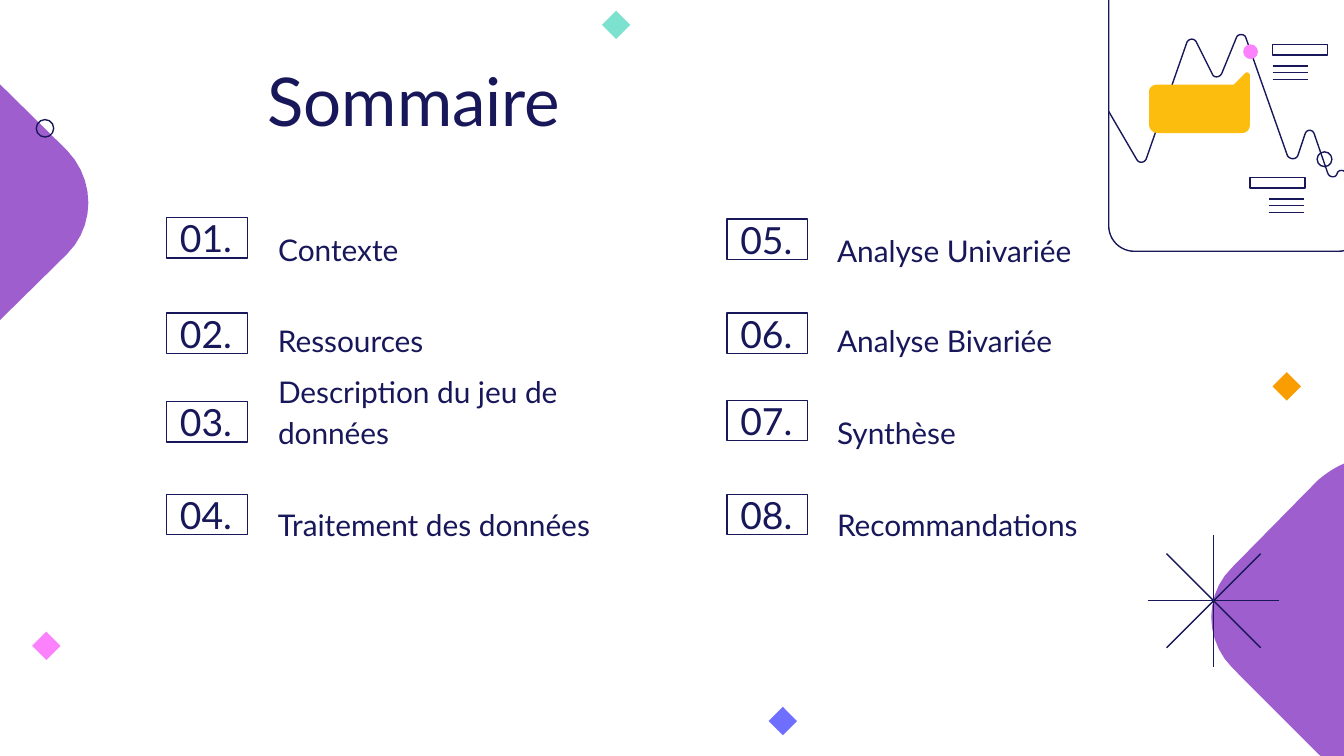
"""Build the "Sommaire" agenda slide with its numbered topics and ornaments."""
from lxml import etree
from pptx import Presentation
from pptx import util as u
from pptx.dml.color import RGBColor
from pptx.enum import shapes, text
from pptx.oxml.ns import qn

NAVY, PURPLE, PINK, YELLOW = "17175A", "9E5ECE", "FC81FD", "FCBD0E"
TOPICS = [
    (1.24, 1.97, [
        ("Contexte", 1.62, 1.6, 2.21),
        ("Ressources", 2.33, 2.28, 2.97),
        ("Description du jeu de données", 2.99, 2.96, 2.82),
        ("Traitement des données", 3.68, 3.65, 2.97),
    ]),
    (5.41, 6.13, [
        ("Analyse Univariée", 1.63, 1.61, 2.98),
        ("Analyse Bivariée", 2.33, 2.28, 2.42),
        ("Synthèse", 2.98, 2.96, 2.78),
        ("Recommandations", 3.68, 3.65, 2.97),
    ]),
]
DIAMONDS = [(0.27, 4.73, PINK), (5.75, 5.29, "6E6FFF"),
            (9.5, 2.8, "FA9D02"), (4.51, 0.11, "7CE1CF")]
LEFT_CORNER = [
    (-0.16, 0.47), (0.5, 1.12), (0.71, 1.34, 0.71, 1.68, 0.5, 1.89),
    (-0.16, 2.54), (-0.37, 2.75, -0.71, 2.75, -0.92, 2.54),
    (-1.57, 1.89), (-1.79, 1.68, -1.79, 1.34, -1.57, 1.12),
    (-0.92, 0.47), (-0.71, 0.26, -0.37, 0.26, -0.16, 0.47)]
RIGHT_CORNER = [
    (10, 5.73), (9.93, 5.71, 9.87, 5.67, 9.81, 5.61),
    (9.17, 4.97), (8.96, 4.76, 8.96, 4.42, 9.17, 4.22),
    (9.81, 3.57), (9.87, 3.52, 9.93, 3.48, 10, 3.45)]
CURVE = [
    (8.25, 0.83), (8.46, 1.19), (8.48, 1.22, 8.52, 1.21, 8.53, 1.18),
    (8.83, 0.32), (8.84, 0.29, 8.88, 0.28, 8.9, 0.31),
    (9.02, 0.55), (9.03, 0.58, 9.07, 0.58, 9.09, 0.55),
    (9.2, 0.28), (9.21, 0.25, 9.26, 0.25, 9.27, 0.28),
    (9.58, 1.16), (9.6, 1.19, 9.65, 1.19, 9.66, 1.15),
    (9.71, 1), (9.72, 0.96, 9.77, 0.96, 9.78, 1),
    (9.88, 1.29), (9.89, 1.32, 9.94, 1.33, 9.95, 1.29),
    (9.96, 1.26, 10.01, 1.26, 10.02, 1.3), (10.15, 1.66)]
CALLOUT = [
    (9.26, 0.55), (9.18, 0.63), (8.61, 0.63), (8.58, 0.63, 8.55, 0.65, 8.55, 0.68),
    (8.55, 0.93), (8.55, 0.96, 8.58, 0.99, 8.61, 0.99),
    (9.24, 0.99), (9.28, 0.99, 9.3, 0.96, 9.3, 0.93),
    (9.3, 0.56), (9.3, 0.54, 9.27, 0.53, 9.26, 0.55)]


def color(value):
    """Turn a hex string into a colour."""
    return RGBColor.from_string(value)


def flatten(steps, pieces=10):
    """Turn points and cubic curves into a plain list of points."""
    points = [steps[0]]
    for step in steps[1:]:
        if len(step) == 2:
            points.append(step)
            continue
        controls = [points[-1], step[:2], step[2:4], step[4:]]
        for piece in range(1, pieces + 1):
            t = piece / pieces
            weights = ((1 - t) ** 3, 3 * t * (1 - t) ** 2, 3 * t * t * (1 - t), t ** 3)
            points.append(tuple(sum(w * p[axis] for w, p in zip(weights, controls))
                                for axis in (0, 1)))
    return points


class Deck:
    """Holds the style and the current slide, measured in a grid ten columns wide."""

    def __init__(self):
        """Start a widescreen slide with a title and a subtitle."""
        self.presentation = Presentation()
        self.presentation.slide_width = u.Inches(10)
        self.presentation.slide_height = u.Inches(5.625)
        self.cell = self.presentation.slide_width / 10
        self.font = "Lato"
        self.line_width = u.Pt(0.75)
        self.slide = self.presentation.slides.add_slide(self.presentation.slide_layouts[0])

    def grid(self, *lengths):
        """Convert columns and rows to slide units."""
        return [round(length * self.cell) for length in lengths]

    def paint(self, shape, fill=None, line=None):
        """Set the fill and outline of a shape and drop its shadow."""
        shape.shadow.inherit = False
        if fill:
            shape.fill.solid()
            shape.fill.fore_color.rgb = color(fill)
        else:
            shape.fill.background()
        if line:
            shape.line.color.rgb = color(line)
            shape.line.width = self.line_width
        else:
            shape.line.fill.background()
        return shape

    def set_words(self, shape, words, size, anchor, spacing=1.0):
        """Put one left-aligned paragraph in a shape."""
        frame = shape.text_frame
        frame.text = words
        frame.word_wrap = True
        frame.auto_size = text.MSO_AUTO_SIZE.NONE
        frame.vertical_anchor = anchor
        frame.margin_left = frame.margin_right = u.Inches(0.1)
        frame.margin_top = frame.margin_bottom = u.Inches(0.1)
        paragraph = frame.paragraphs[0]
        paragraph.alignment = text.PP_ALIGN.LEFT
        paragraph.line_spacing = spacing
        paragraph.space_before = u.Pt(0)
        font = paragraph.runs[0].font
        font.name, font.size = self.font, u.Pt(size)
        font.color.rgb = color(NAVY)

    def placeholder(self, index, box):
        """Move a template placeholder to a box."""
        shape = self.slide.placeholders[index]
        shape.left, shape.top, shape.width, shape.height = self.grid(*box)
        return shape

    def title(self, words, box):
        """Fill in the slide title."""
        self.set_words(self.placeholder(0, box), words, 36, text.MSO_ANCHOR.TOP)

    def label(self, words, box, first=False):
        """Add a topic, the first one in the subtitle placeholder."""
        shape = (self.placeholder(1, box) if first
                 else self.slide.shapes.add_textbox(*self.grid(*box)))
        self.set_words(shape, words, 16, text.MSO_ANCHOR.BOTTOM, 1.15)

    def preset(self, kind, box, fill=None, line=None):
        """Add a preset shape."""
        return self.paint(self.slide.shapes.add_shape(kind, *self.grid(*box)), fill, line)

    def number(self, value, left, top):
        """Add a framed topic number."""
        shape = self.preset(shapes.MSO_SHAPE.RECTANGLE, (left, top, 0.6, 0.3), line=NAVY)
        self.set_words(shape, f"{value:02d}.", 20, text.MSO_ANCHOR.MIDDLE)

    def outline(self, steps, fill=None, line=None):
        """Add a freeform, closed when it is filled."""
        start, *rest = [self.grid(*point) for point in flatten(steps)]
        builder = self.slide.shapes.build_freeform(*start)
        builder.add_line_segments(rest, close=bool(fill))
        self.paint(builder.convert_to_shape(), fill, line)

    def stroke(self, *ends):
        """Add a straight line."""
        connector = self.slide.shapes.add_connector(
            shapes.MSO_CONNECTOR.STRAIGHT, *self.grid(*ends))
        connector.line.color.rgb = color(NAVY)
        connector.line.width = self.line_width
        etree.SubElement(connector._element.spPr, qn("a:effectLst"))


def draw_background(deck):
    """Draw the corners, the starburst and the small ornaments."""
    deck.outline(LEFT_CORNER, PURPLE)
    deck.outline(RIGHT_CORNER, PURPLE)
    for across, down in ((0, 0.49), (0.49, 0), (0.35, -0.35), (0.35, 0.35)):
        deck.stroke(9.03 - across, 4.47 - down, 9.03 + across, 4.47 + down)
    for left, top, fill in DIAMONDS:
        deck.preset(shapes.MSO_SHAPE.RECTANGLE, (left, top, 0.15, 0.15), fill).rotation = 315
    deck.preset(shapes.MSO_SHAPE.OVAL, (0.27, 0.89, 0.13, 0.13), line=NAVY)


def draw_card(deck):
    """Draw the chart card in the top right corner."""
    for bar_left, bar_top, rule_left, rule_top in ((9.47, 0.33, 9.47, 0.49),
                                                   (9.3, 1.32, 9.44, 1.48)):
        deck.preset(shapes.MSO_SHAPE.RECTANGLE, (bar_left, bar_top, 0.41, 0.08), line=NAVY)
        for row in range(3):
            top = rule_top + 0.05 * row
            deck.stroke(rule_left, top, rule_left + 0.26, top)
    card = deck.preset(shapes.MSO_SHAPE.ROUNDED_RECTANGLE, (8.25, -0.27, 1.9, 2.14), line=NAVY)
    card.adjustments[0] = 0.1
    deck.outline(CURVE, line=NAVY)
    deck.preset(shapes.MSO_SHAPE.OVAL, (9.25, 0.33, 0.11, 0.11), PINK)
    deck.preset(shapes.MSO_SHAPE.OVAL, (9.8, 1.13, 0.11, 0.11), line=NAVY)
    deck.outline(CALLOUT, YELLOW)


def main():
    """Build and save the slide."""
    deck = Deck()
    draw_background(deck)
    deck.title("Sommaire", (1.89, 0.34, 6.57, 0.63))
    draw_card(deck)
    value = 0
    for number_left, label_left, topics in TOPICS:
        for words, number_top, label_top, width in topics:
            value += 1
            deck.number(value, number_left, number_top)
            deck.label(words, (label_left, label_top, width, 0.49), first=value == 1)
    deck.presentation.save("out.pptx")


if __name__ == "__main__":
    main()
